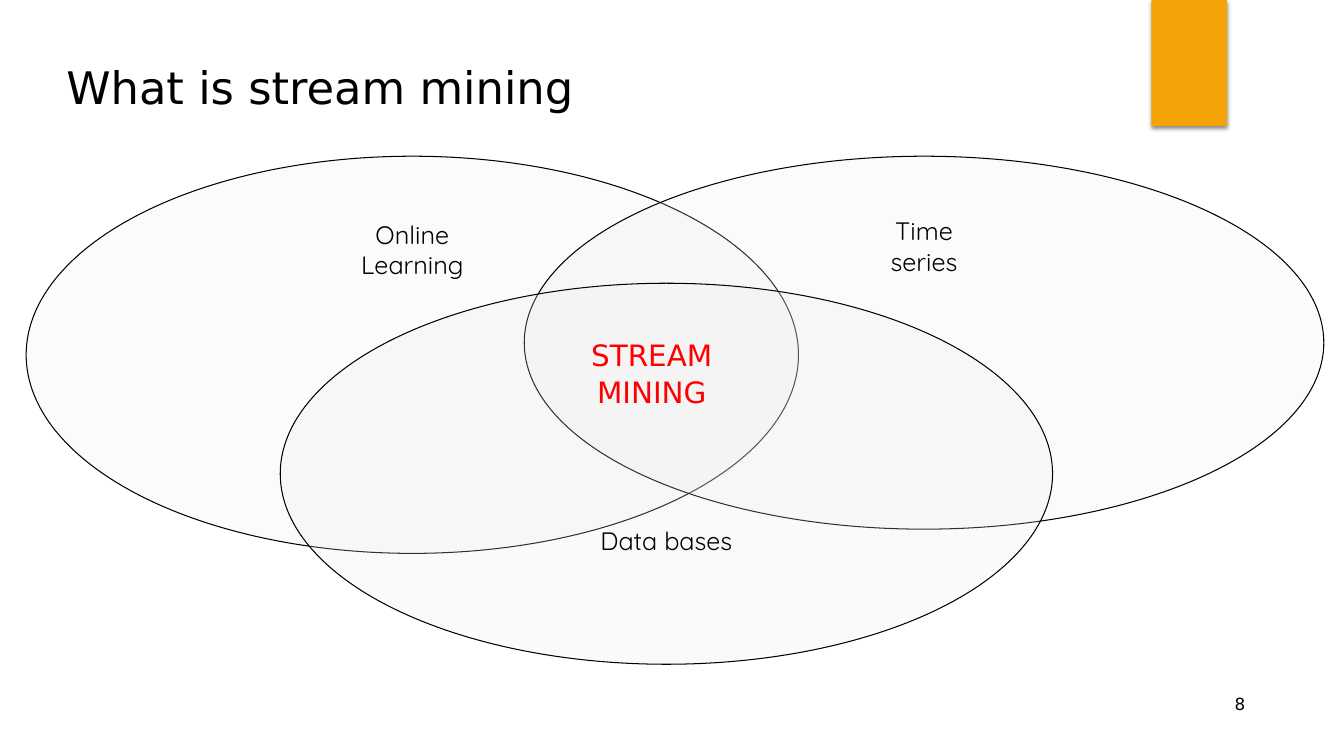
import pptx
import pptx.util
import pptx.dml.color
import pptx.enum.shapes
import pptx.enum.text
import pptx.oxml
import pptx.oxml.ns

PX = 9144
BLACK = pptx.dml.color.RGBColor(0x00, 0x00, 0x00)
RED = pptx.dml.color.RGBColor(0xFF, 0x00, 0x00)
ORANGE = pptx.dml.color.RGBColor(0xF5, 0xA4, 0x08)
PALE_GREY = pptx.dml.color.RGBColor(0xEB, 0xEB, 0xEB)
SANS = "DejaVu Sans"
ROUNDED = "Quicksand"
ALIGN = pptx.enum.text.PP_ALIGN
ANCHOR = pptx.enum.text.MSO_ANCHOR
SHAPE = pptx.enum.shapes.MSO_SHAPE


def emu(box):
    """Turn a box of px lengths into EMU."""
    return [length * PX for length in box]


def write(holder, text, size, font=SANS, color=BLACK, align=ALIGN.LEFT,
          anchor=ANCHOR.TOP, top=5, bottom=5, spacing=None, wrap=True):
    """Fill a shape with text, one paragraph per line."""
    frame = holder.text_frame
    frame.word_wrap = wrap
    frame.vertical_anchor = anchor
    frame.margin_left = frame.margin_right = 10 * PX
    frame.margin_top, frame.margin_bottom = top * PX, bottom * PX
    frame.text = text
    for paragraph in frame.paragraphs:
        paragraph.alignment = align
        paragraph.line_spacing = spacing
        paragraph.font.size = pptx.util.Pt(size)
        paragraph.font.name = font
        paragraph.font.color.rgb = color


def add_text(slide, box, text, **style):
    """Place a text box."""
    write(slide.shapes.add_textbox(*emu(box)), text, **style)


def add_shape(slide, kind, box, color):
    """Place a filled shape without outline or shadow."""
    shape = slide.shapes.add_shape(kind, *emu(box))
    shape.shadow.inherit = False
    shape.fill.solid()
    shape.fill.fore_color.rgb = color
    shape.line.fill.background()
    return shape


def add_ribbon(slide, box):
    """Hang the orange ribbon with its soft shadow."""
    ribbon = add_shape(slide, SHAPE.RECTANGLE, box, ORANGE)
    effects = ribbon._element.spPr.find(pptx.oxml.ns.qn("a:effectLst"))
    effects.append(pptx.oxml.parse_xml(
        f'<a:outerShdw {pptx.oxml.ns.nsdecls("a")} blurRad="38100" '
        'dist="25400" dir="5400000" rotWithShape="0">'
        '<a:srgbClr val="000000"><a:alpha val="45000"/></a:srgbClr>'
        '</a:outerShdw>'))


def add_field(slide, box, label, opacity, top=5):
    """Draw one translucent, labelled ellipse."""
    field = add_shape(slide, SHAPE.OVAL, box, PALE_GREY)
    tint = field._element.spPr.find(
        f'{pptx.oxml.ns.qn("a:solidFill")}/{pptx.oxml.ns.qn("a:srgbClr")}')
    tint.append(pptx.oxml.parse_xml(
        f'<a:alpha {pptx.oxml.ns.nsdecls("a")} val="{opacity * 1000}"/>'))
    field.line.color.rgb = BLACK
    field.line.width = pptx.util.Pt(0.75)
    write(field, label, size=18, font=ROUNDED, align=ALIGN.CENTER, top=top)


def add_venn(slide, box):
    """Draw the three overlapping fields and their common centre."""
    left, top, width, height = box
    circle_width = 766
    add_field(slide, (left, top, circle_width, 394), "Online\nLearning", 20)
    add_field(slide, (left + width - 793, top, 793, 370), "Time\nseries", 20)
    add_field(slide, (left + 252, top + height - 378, circle_width, 378),
              "Data bases", 21, top=185)
    add_text(slide, (left + 549, top + 173, 143, 81), "STREAM\nMINING",
             size=21, color=RED, align=ALIGN.CENTER, spacing=1.05, wrap=False)


def main():
    """Build the slide and save it."""
    deck = pptx.Presentation()
    deck.slide_width, deck.slide_height = emu((1333, 750))
    slide = deck.slides.add_slide(deck.slide_layouts[6])
    add_ribbon(slide, (1142, 0, 75, 125))
    add_text(slide, (956, 683, 289, 52), "8", size=12, align=ALIGN.RIGHT)
    add_text(slide, (56, 33, 1195, 83), "What is stream mining", size=32,
             anchor=ANCHOR.BOTTOM, bottom=3)
    add_venn(slide, (26, 155, 1287, 504))
    deck.save("out.pptx")


if __name__ == "__main__":
    main()
